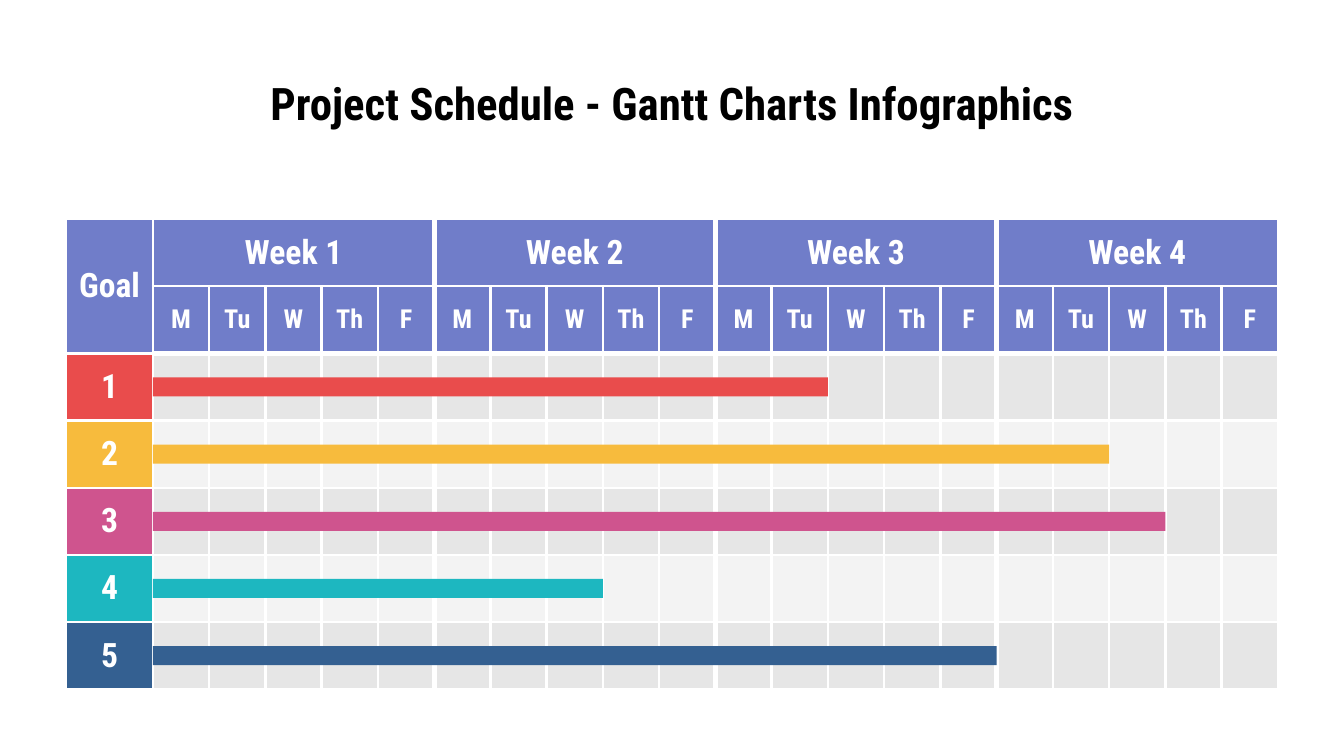
"""Build a four-week project schedule slide with a Gantt chart."""
from lxml import etree
from pptx import Presentation
from pptx.dml.color import RGBColor
from pptx.enum.shapes import MSO_SHAPE
from pptx.enum.text import MSO_ANCHOR, PP_ALIGN
from pptx.oxml.ns import qn
from pptx.util import Cm, Pt

RECT = MSO_SHAPE.RECTANGLE
MIDDLE = MSO_ANCHOR.MIDDLE
CENTER = PP_ALIGN.CENTER

THEME = {
    "font": "Roboto Condensed",
    "title": "000000",
    "header": "707DC9",
    "line": "FFFFFF",
    "bands": ["E6E6E6", "F3F3F3"],
    "goals": ["E94C4C", "F7BB3D", "CF548E", "1DB7C0", "346091"],
    "title_size": 24,
    "label_size": 18,
    "day_size": 14,
    "thin": 1.5,
    "thick": 3,
}
DAYS = ["M", "Tu", "W", "Th", "F"]
WEEKS = 4
DURATIONS = [12, 17, 18, 8, 15]

LEFT, TOP = Cm(1.25), Cm(4.14)
GOAL_W, ROW_H = Cm(1.64), Cm(1.27)
DAY_COUNT = WEEKS * len(DAYS)
DAY_W = Cm(21.26) // DAY_COUNT
BAR_H = Cm(0.36)
INSET = Cm(0.25)


def write(tf, text, size, color):
    tf.text = text
    p = tf.paragraphs[0]
    p.alignment = CENTER
    font = p.runs[0].font
    font.name, font.size, font.bold = THEME["font"], Pt(size), True
    font.color.rgb = RGBColor.from_string(color)


def set_border(cell, side, width):
    ln = etree.SubElement(cell._tc.get_or_add_tcPr(), qn(f"a:ln{side}"), w=str(Pt(width)))
    fill = etree.SubElement(ln, qn("a:solidFill"))
    etree.SubElement(fill, qn("a:srgbClr"), val=THEME["line"])


prs = Presentation()
prs.slide_width, prs.slide_height = Cm(25.4), Cm(14.29)
s = prs.slides.add_slide(prs.slide_layouts[6])

title = s.shapes.add_textbox(Cm(1.27), Cm(1.14), Cm(22.86), Cm(1.6))
tf = title.text_frame
tf.word_wrap = True
tf.vertical_anchor = MIDDLE
write(tf, "Project Schedule - Gantt Charts Infographics", THEME["title_size"], THEME["title"])

rows, cols = 2 + len(DURATIONS), 1 + DAY_COUNT
frame = s.shapes.add_table(rows, cols, LEFT, TOP, GOAL_W + DAY_COUNT * DAY_W, rows * ROW_H)
table = frame.table
table.first_row = table.horz_banding = False
for c, column in enumerate(table.columns):
    column.width = DAY_W if c else GOAL_W
for row in table.rows:
    row.height = ROW_H

labels = {(0, 0): "Goal"}
table.cell(0, 0).merge(table.cell(1, 0))
for week in range(WEEKS):
    first = 1 + week * len(DAYS)
    labels[0, first] = f"Week {week + 1}"
    table.cell(0, first).merge(table.cell(0, first + len(DAYS) - 1))
    for i, day in enumerate(DAYS):
        labels[1, first + i] = day
for goal in range(len(DURATIONS)):
    labels[goal + 2, 0] = str(goal + 1)

week_ends = range(len(DAYS), DAY_COUNT, len(DAYS))
for r in range(rows):
    for c in range(cols):
        cell = table.cell(r, c)
        end = c + len(DAYS) - 1 if cell.is_merge_origin and c else c
        heavy = {
            "L": c - 1 in week_ends,
            "R": end in week_ends,
            "T": r == 2 and c > 0,
            "B": r == 1 and c > 0,
        }
        for side, is_heavy in heavy.items():
            set_border(cell, side, THEME["thick" if is_heavy else "thin"])
        if r < 2:
            color = THEME["header"]
        elif c == 0:
            color = THEME["goals"][r - 2]
        else:
            color = THEME["bands"][r % 2]
        cell.fill.solid()
        cell.fill.fore_color.rgb = RGBColor.from_string(color)
        if (r, c) in labels:
            cell.vertical_anchor = MIDDLE
            cell.margin_top = cell.margin_bottom = INSET
            cell.margin_left = cell.margin_right = Cm(0.2)
            size = THEME["day_size" if r == 1 else "label_size"]
            write(cell.text_frame, labels[r, c], size, THEME["line"])

for goal, (days, color) in enumerate(zip(DURATIONS, THEME["goals"])):
    y = TOP + (goal + 2) * ROW_H + (ROW_H - BAR_H) // 2
    bar = s.shapes.add_shape(RECT, LEFT + GOAL_W, y, days * DAY_W, BAR_H)
    bar.shadow.inherit = False
    bar.fill.solid()
    bar.fill.fore_color.rgb = RGBColor.from_string(color)
    bar.line.fill.background()

prs.save("out.pptx")
